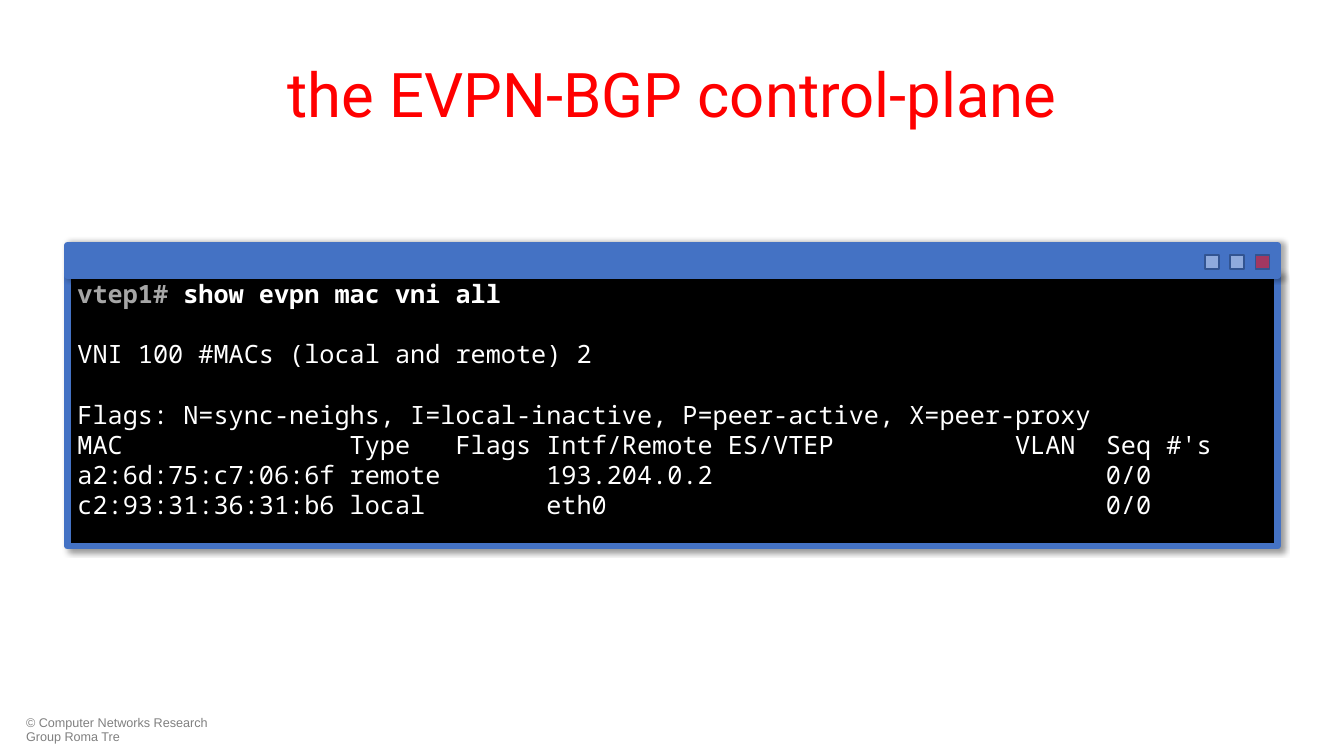
from dataclasses import dataclass

from lxml import etree
from pptx import Presentation
from pptx.dml.color import RGBColor
from pptx.enum.shapes import MSO_SHAPE
from pptx.enum.text import MSO_ANCHOR, MSO_AUTO_SIZE, PP_ALIGN
from pptx.oxml.ns import qn
from pptx.shapes.autoshape import Shape
from pptx.slide import Slide
from pptx.util import Emu, Pt

RECTANGLE = MSO_SHAPE.RECTANGLE
CENTER, LEFT = PP_ALIGN.CENTER, PP_ALIGN.LEFT
TOP, MIDDLE = MSO_ANCHOR.TOP, MSO_ANCHOR.MIDDLE
NO_AUTOFIT = MSO_AUTO_SIZE.NONE

WHITE = RGBColor(0xFF, 0xFF, 0xFF)
BLACK = RGBColor(0x00, 0x00, 0x00)
RED = RGBColor(0xFF, 0x00, 0x00)
BLUE = RGBColor(0x44, 0x72, 0xC4)
PALE_BLUE = RGBColor(0x8F, 0xAA, 0xDC)
DARK_BLUE = RGBColor(0x32, 0x54, 0x91)
PROMPT_GRAY = RGBColor(0xA6, 0xA6, 0xA6)
FOOTER_GRAY = RGBColor(0x80, 0x80, 0x80)

EMU_PER_PX = 9144  # 100 px to the inch
CHARACTER_WIDTH = 15
LINE_HEIGHT = Pt(21.6)
COLUMN_STARTS = (18, 25, 31, 62, 68)  # in characters


@dataclass(frozen=True)
class Shadow:
    opacity: int
    blur: int
    distance: int
    angle: int


@dataclass(frozen=True)
class Panel:
    left: int
    top: int
    width: int
    height: int
    fill: RGBColor
    line: RGBColor
    line_width: float
    shadow: Shadow | None = None
    opacity: int = 100


@dataclass(frozen=True)
class OutputLine:
    text: str
    gap_before: bool = False


SCREEN = Panel(67, 271, 1200, 271, BLACK, BLUE, 4.5, Shadow(40, 4, 3, 45))
TITLE_BAR = Panel(67, 243, 1200, 31, BLUE, BLUE, 4.5, Shadow(32, 4, 2, 0))
BUTTON_LEFT, BUTTON_PITCH = 1195, 25
BUTTON_STYLES = ((PALE_BLUE, 100), (PALE_BLUE, 100), (RED, 50))

PROMPT, COMMAND = "vtep1#", " show evpn mac vni all"
OUTPUT = (
    OutputLine("VNI 100 #MACs (local and remote) 2", True),
    OutputLine("Flags: N=sync-neighs, I=local-inactive, P=peer-active, X=peer-proxy", True),
    OutputLine("MAC\tType\tFlags\tIntf/Remote ES/VTEP\tVLAN\tSeq #'s"),
    OutputLine("a2:6d:75:c7:06:6f\tremote\t\t193.204.0.2\t\t0/0"),
    OutputLine("c2:93:31:36:31:b6\tlocal\t\teth0\t\t0/0"),
)


def px(length: int) -> Emu:
    return Emu(length * EMU_PER_PX)


def set_font(font, name: str, size: float, color: RGBColor, bold: bool = False) -> None:
    font.name, font.size, font.bold = name, Pt(size), bold
    font.color.rgb = color


def add_alpha(color_element, percent: int) -> None:
    etree.SubElement(color_element, qn("a:alpha"), val=str(percent * 1000))


def add_shadow(shape: Shape, shadow: Shadow) -> None:
    effects = shape._element.spPr.find(qn("a:effectLst"))
    outer = etree.SubElement(
        effects, qn("a:outerShdw"), blurRad=str(Pt(shadow.blur)),
        dist=str(Pt(shadow.distance)), dir=str(shadow.angle * 60000),
        algn="tl", rotWithShape="0")
    add_alpha(etree.SubElement(outer, qn("a:srgbClr"), val=str(BLACK)), shadow.opacity)


def add_panel(slide: Slide, panel: Panel) -> Shape:
    shape = slide.shapes.add_shape(
        RECTANGLE, px(panel.left), px(panel.top), px(panel.width), px(panel.height))
    shape.shadow.inherit = False
    shape.fill.solid()
    shape.fill.fore_color.rgb = panel.fill
    if panel.opacity < 100:
        add_alpha(shape._element.spPr.find(qn("a:solidFill"))[0], panel.opacity)
    shape.line.color.rgb = panel.line
    shape.line.width = Pt(panel.line_width)
    if panel.shadow:
        add_shadow(shape, panel.shadow)
    return shape


def add_column_stops(para) -> None:
    stops = etree.SubElement(para._p.get_or_add_pPr(), qn("a:tabLst"))
    for start in COLUMN_STARTS:
        etree.SubElement(stops, qn("a:tab"), pos=str(px(start * CHARACTER_WIDTH)), algn="l")


def add_title(slide: Slide) -> None:
    title = slide.shapes.title
    title.left, title.top, title.width, title.height = px(67), px(30), px(1200), px(125)
    frame = title.text_frame
    frame.text = "the EVPN-BGP control-plane"
    frame.auto_size, frame.vertical_anchor = NO_AUTOFIT, MIDDLE
    para = frame.paragraphs[0]
    para.alignment = CENTER
    set_font(para.font, "Roboto", 44, RED)


def add_terminal(slide: Slide) -> None:
    frame = add_panel(slide, SCREEN).text_frame
    frame.word_wrap, frame.vertical_anchor = True, TOP

    # Command line
    para = frame.paragraphs[0]
    para.alignment = LEFT
    for text, color in ((PROMPT, PROMPT_GRAY), (COMMAND, WHITE)):
        span = para.add_run()
        span.text = text
        set_font(span.font, "Noto Sans Mono", 18, color, bold=True)

    # Command output
    for line in OUTPUT:
        para = frame.add_paragraph()
        para.text = line.text
        para.alignment = LEFT
        if line.gap_before:
            para.space_before = LINE_HEIGHT
        if "\t" in line.text:
            add_column_stops(para)
        set_font(para.font, "Noto Sans Mono", 18, WHITE)

    # Window bar and buttons
    add_panel(slide, TITLE_BAR)
    for index, (fill, opacity) in enumerate(BUTTON_STYLES):
        left = BUTTON_LEFT + index * BUTTON_PITCH
        add_panel(slide, Panel(left, 253, 14, 14, fill, DARK_BLUE, 1, opacity=opacity))


def add_copyright(slide: Slide) -> None:
    box = slide.shapes.add_textbox(px(16), px(706), px(231), px(36))
    box.text_frame.word_wrap = True
    para = box.text_frame.paragraphs[0]
    para.text = "© Computer Networks Research Group Roma Tre"
    para.line_spacing = 0.9
    set_font(para.font, "Arial", 9, FOOTER_GRAY)


def main() -> None:
    deck = Presentation()
    deck.slide_width, deck.slide_height = px(1333), px(750)
    page = deck.slides.add_slide(deck.slide_layouts.get_by_name("Title Only"))
    add_copyright(page)
    add_title(page)
    add_terminal(page)
    deck.save("out.pptx")


if __name__ == "__main__":
    main()
